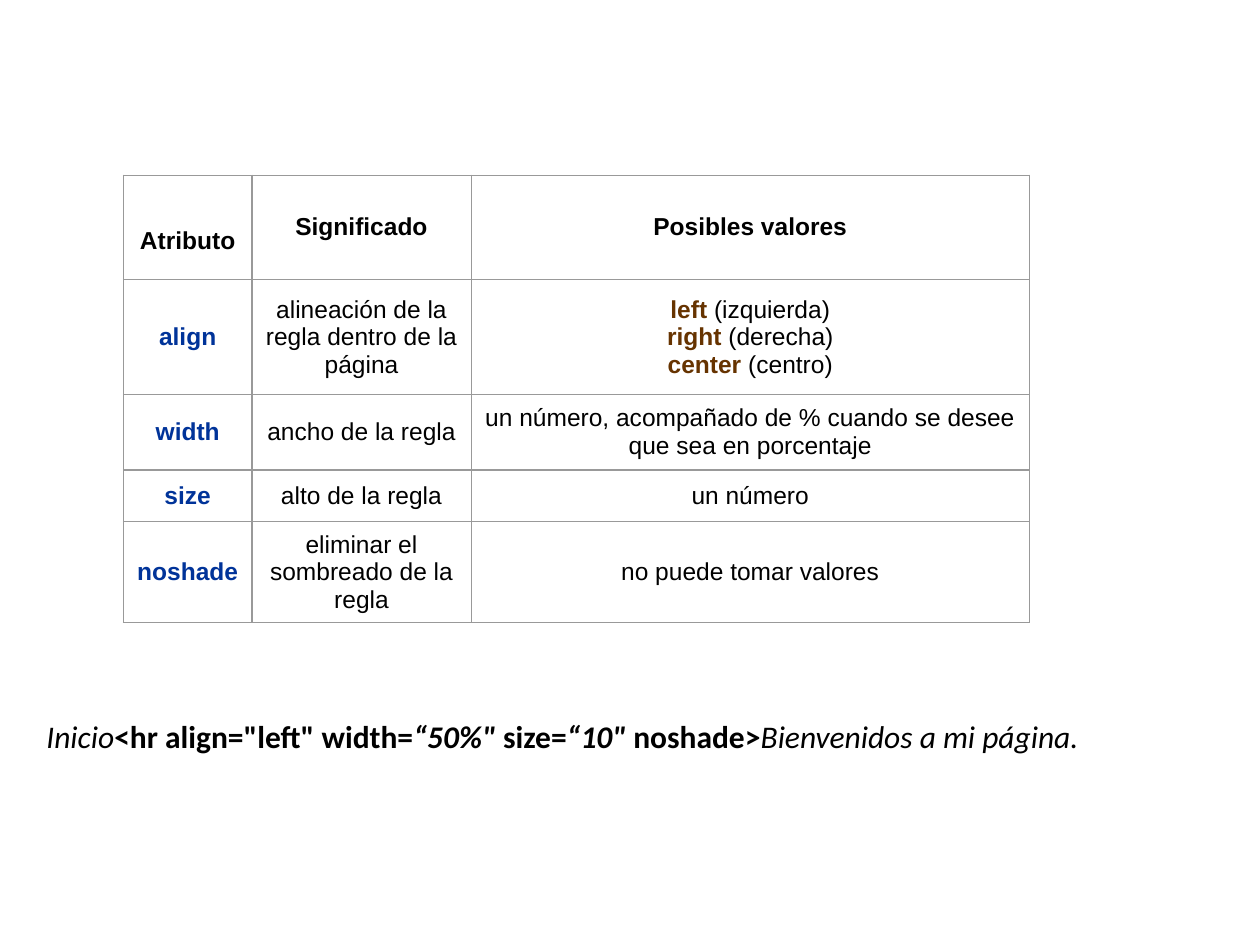
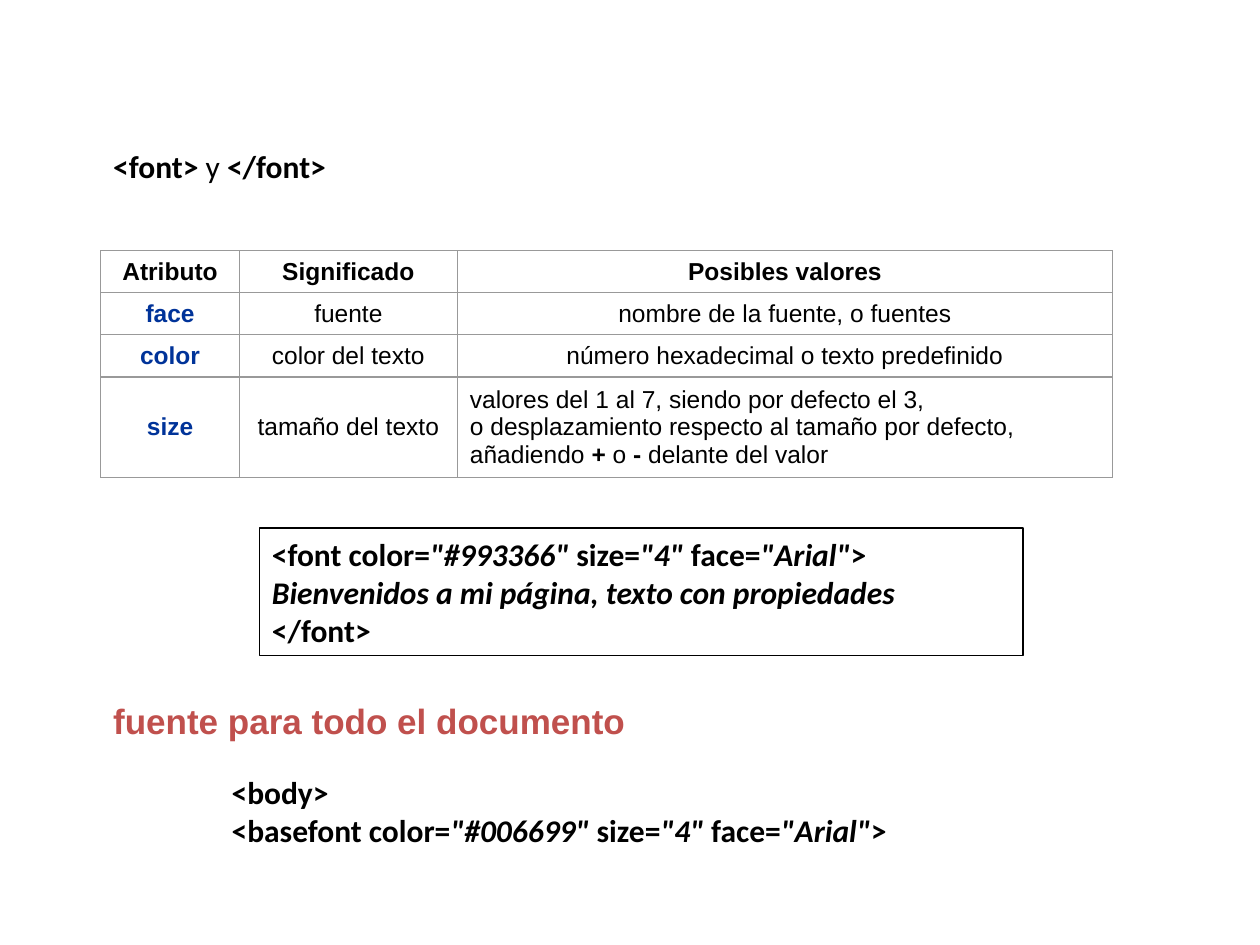
from itertools import cycle

from lxml import etree
from pptx import Presentation
from pptx.dml.color import RGBColor
from pptx.enum.shapes import MSO_SHAPE
from pptx.enum.text import MSO_ANCHOR, MSO_AUTO_SIZE, PP_ALIGN
from pptx.oxml.ns import qn
from pptx.util import Inches, Pt

BLACK = RGBColor(0x00, 0x00, 0x00)
BLUE = RGBColor(0x00, 0x33, 0x99)
BROWN = RGBColor(0x66, 0x33, 0x00)
RED = RGBColor(0xC0, 0x50, 0x4D)
BORDER_GRAY = RGBColor(0x99, 0x99, 0x99)

LEFT, CENTER = PP_ALIGN.LEFT, PP_ALIGN.CENTER
MIDDLE, TOP = MSO_ANCHOR.MIDDLE, MSO_ANCHOR.TOP
FIT_SHAPE = MSO_AUTO_SIZE.SHAPE_TO_FIT_TEXT
RECTANGLE = MSO_SHAPE.RECTANGLE
BLANK_LAYOUT = 6

# Run styles: bold, italic, colour
PLAIN = (False, False, BLACK)
BOLD = (True, False, BLACK)
ITALIC = (False, True, BLACK)
BOLD_ITALIC = (True, True, BLACK)
ATTRIBUTE = (True, False, BLUE)
VALUE = (True, False, BROWN)
HEADING = (True, False, RED)

# Text styles: font, size
TABLE_FONT = ("Arial", 14)
CODE_FONT = ("Calibri", 18)
HEADING_FONT = ("Arial", 20)


def code(*pieces):
    """Runs of one code line: markup in bold, every second piece in bold italic."""
    return list(zip(pieces, cycle((BOLD, BOLD_ITALIC))))


# A cell is a string, or a list of lines made of (text, style) runs.
HEADERS = ("Atributo", "Significado", "Posibles valores")
RULE_ROWS = [
    ("align", "alineación de la regla dentro de la página",
     [[("left ", VALUE), ("(izquierda)", PLAIN)],
      [("right", VALUE), (" (derecha)", PLAIN)],
      [("center", VALUE), (" (centro)", PLAIN)]]),
    ("width", "ancho de la regla",
     "un número, acompañado de % cuando se desee que sea en porcentaje"),
    ("size", "alto de la regla", "un número"),
    ("noshade", "eliminar el sombreado de la regla", "no puede tomar valores"),
]
FONT_ROWS = [
    ("face", "fuente", "nombre de la fuente, o fuentes"),
    ("color", "color del texto", "número hexadecimal o texto predefinido"),
    ("size", "tamaño del texto",
     [[("valores del 1 al 7, siendo por defecto el 3,", PLAIN)],
      [("o desplazamiento respecto al tamaño por defecto,", PLAIN)],
      [("añadiendo ", PLAIN), ("+", BOLD), (" o ", PLAIN), ("-", BOLD),
       (" delante del valor", PLAIN)]]),
]
RULE_EXAMPLE = [
    [("Inicio", ITALIC)]
    + code('<hr align="left" width=', '“50%"', " size=", '“10"', " noshade>")
    + [("Bienvenidos a mi página.", ITALIC)]
]
FONT_TAGS = [[("<font>", BOLD), (" y ", PLAIN), ("</font>", BOLD)]]
FONT_EXAMPLE = [
    code("<font color=", '"#993366"', " size=", '"4"', " face=", '"Arial"', ">"),
    [("Bienvenidos a mi página, texto con propiedades", BOLD_ITALIC)],
    code("</font>"),
]
BASEFONT_HEADING = [[("fuente para todo el documento", HEADING)]]
BASEFONT_EXAMPLE = [
    code("<body>"),
    code("<basefont color=", '"#006699"', " size=", '"4"', " face=", '"Arial"', ">"),
]


def write_lines(text_frame, lines, font, alignment=LEFT):
    name, size = font
    for index, runs in enumerate(lines):
        paragraph = text_frame.add_paragraph() if index else text_frame.paragraphs[0]
        paragraph.alignment = alignment
        for text, (bold, italic, color) in runs:
            run = paragraph.add_run()
            run.text = text
            run.font.name, run.font.size = name, Pt(size)
            run.font.bold, run.font.italic = bold, italic
            run.font.color.rgb = color


def fill_frame(shape, lines, font, wrap, anchor):
    text_frame = shape.text_frame
    text_frame.word_wrap = wrap
    text_frame.auto_size = FIT_SHAPE
    text_frame.vertical_anchor = anchor
    write_lines(text_frame, lines, font)


def add_text(slide, box, lines, font=CODE_FONT, wrap=False, anchor=MIDDLE):
    shape = slide.shapes.add_textbox(*map(Inches, box))
    fill_frame(shape, lines, font, wrap, anchor)


def add_framed_code(slide, box, lines):
    shape = slide.shapes.add_shape(RECTANGLE, *map(Inches, box))
    shape.shadow.inherit = False
    shape.fill.background()
    shape.line.color.rgb = BLACK
    shape.line.width = Pt(0.75)
    fill_frame(shape, lines, CODE_FONT, True, MIDDLE)


def set_borders(cell):
    properties = cell._tc.get_or_add_tcPr()
    for index, side in enumerate(("lnL", "lnR", "lnT", "lnB")):
        line = etree.Element(qn(f"a:{side}"), w=str(Pt(0.75)))
        fill = etree.SubElement(line, qn("a:solidFill"))
        etree.SubElement(fill, qn("a:srgbClr"), val=str(BORDER_GRAY))
        properties.insert(index, line)


def add_attribute_table(slide, left, top, widths, heights, rows):
    """Add the attribute table and return it; the header row is shared."""
    frame = slide.shapes.add_table(
        len(heights), len(widths), Inches(left), Inches(top),
        Inches(sum(widths)), Inches(sum(heights)))
    table = frame.table
    table.first_row = table.horz_banding = False
    for column, width in zip(table.columns, widths):
        column.width = Inches(width)
    for row, height in zip(table.rows, heights):
        row.height = Inches(height)
    for row_index, values in enumerate([HEADERS, *rows]):
        styles = (ATTRIBUTE, PLAIN, PLAIN) if row_index else (BOLD,) * 3
        for column_index, (value, style) in enumerate(zip(values, styles)):
            cell = table.cell(row_index, column_index)
            cell.fill.background()
            cell.vertical_anchor = MIDDLE
            lines = [[(value, style)]] if isinstance(value, str) else value
            write_lines(cell.text_frame, lines, TABLE_FONT, CENTER)
            set_borders(cell)
    return table


def build_rule_slide(slide):
    table = add_attribute_table(
        slide, 0.98, 1.39, (1.02, 1.74, 4.43), (0.83, 0.91, 0.6, 0.41, 0.8), RULE_ROWS)
    table.cell(0, 0).margin_top = Inches(0.27)
    add_text(slide, (0.27, 5.64, 9.51, 0.4), RULE_EXAMPLE, wrap=True)


def build_font_slide(slide):
    margin = 0.8
    add_text(slide, (margin, 1.12, 1.91, 0.4), FONT_TAGS)
    table = add_attribute_table(
        slide, margin, 1.99, (1.1, 1.73, 5.2), (0.33, 0.33, 0.33, 0.8), FONT_ROWS)
    for paragraph in table.cell(3, 2).text_frame.paragraphs:
        paragraph.alignment = LEFT
    add_framed_code(slide, (2.06, 4.19, 6.06, 1.01), FONT_EXAMPLE)
    add_text(slide, (margin, 5.5, 4.34, 0.43), BASEFONT_HEADING, HEADING_FONT, anchor=TOP)
    add_text(slide, (1.74, 6.08, 5.44, 0.71), BASEFONT_EXAMPLE)


def main():
    presentation = Presentation()
    presentation.slide_width, presentation.slide_height = Inches(10), Inches(7.5)
    for build in (build_rule_slide, build_font_slide):
        build(presentation.slides.add_slide(presentation.slide_layouts[BLANK_LAYOUT]))
    presentation.save("out.pptx")


if __name__ == "__main__":
    main()
